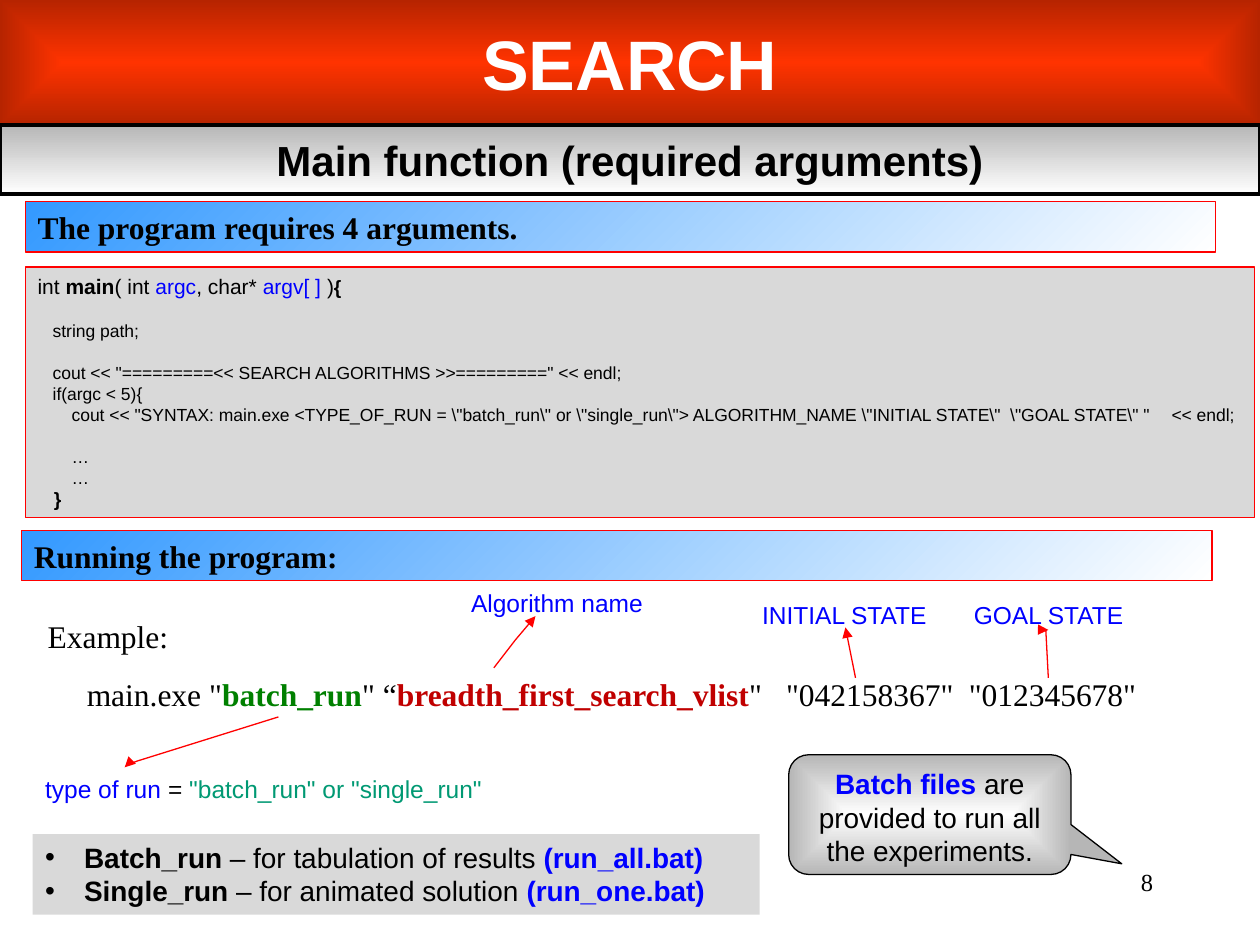
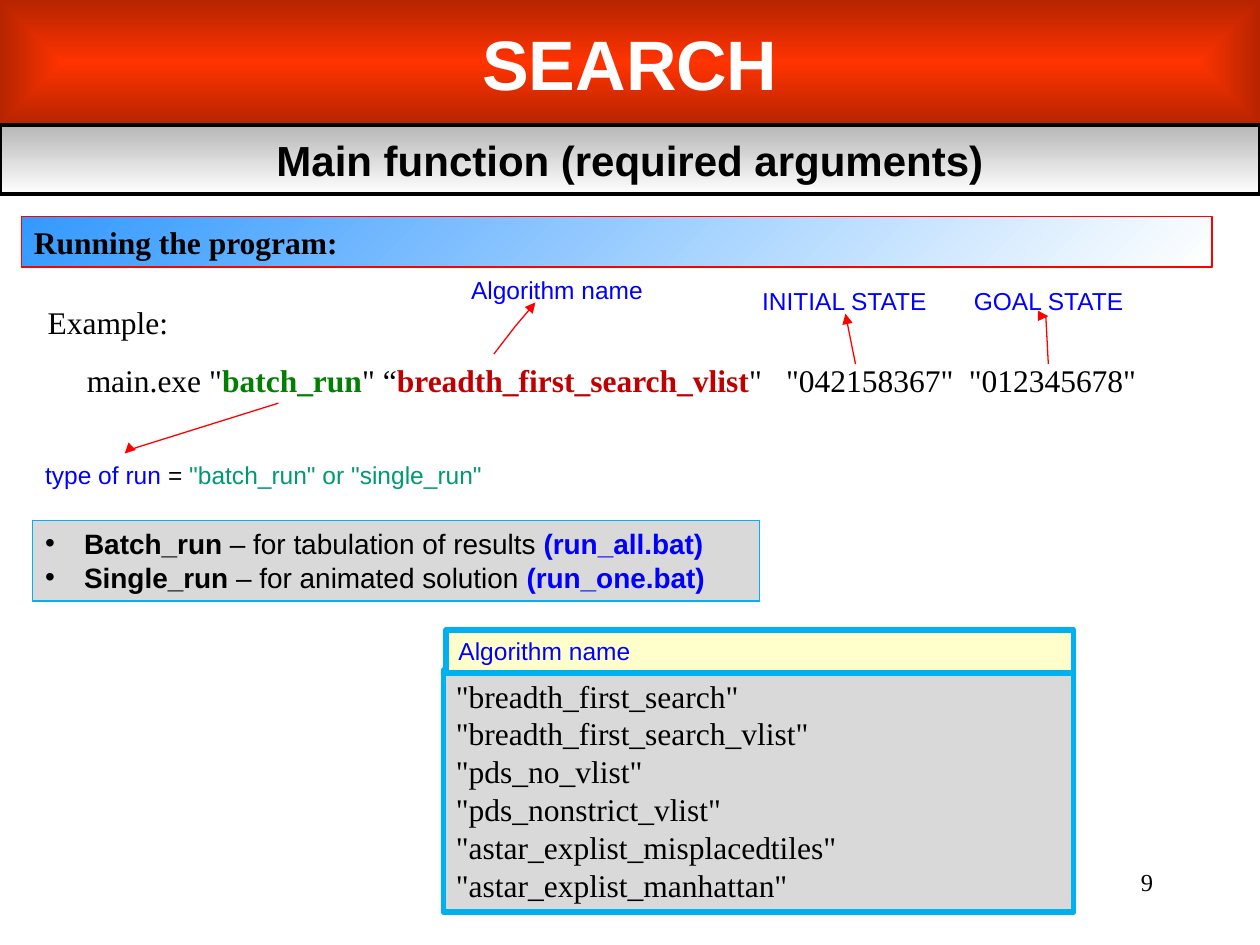
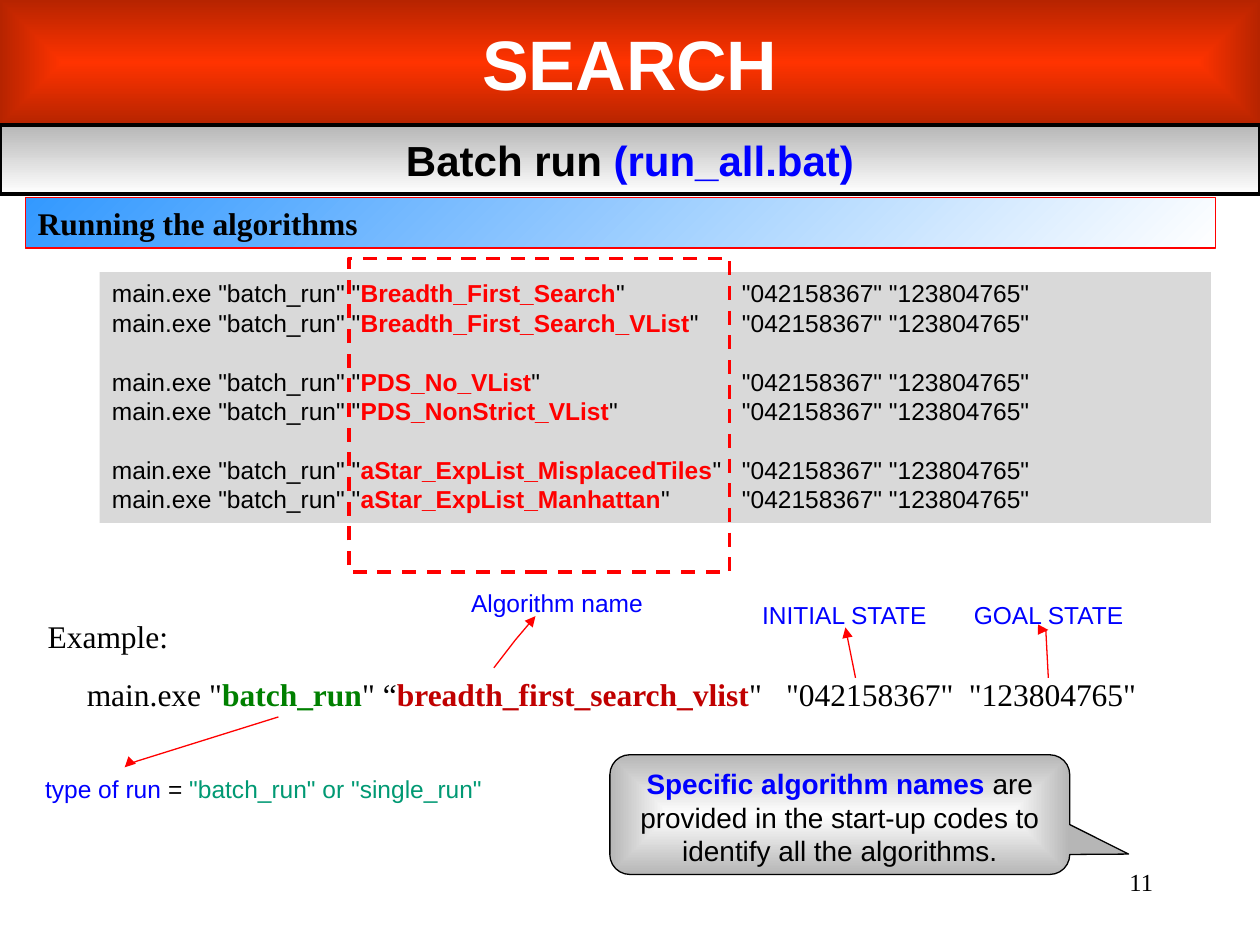
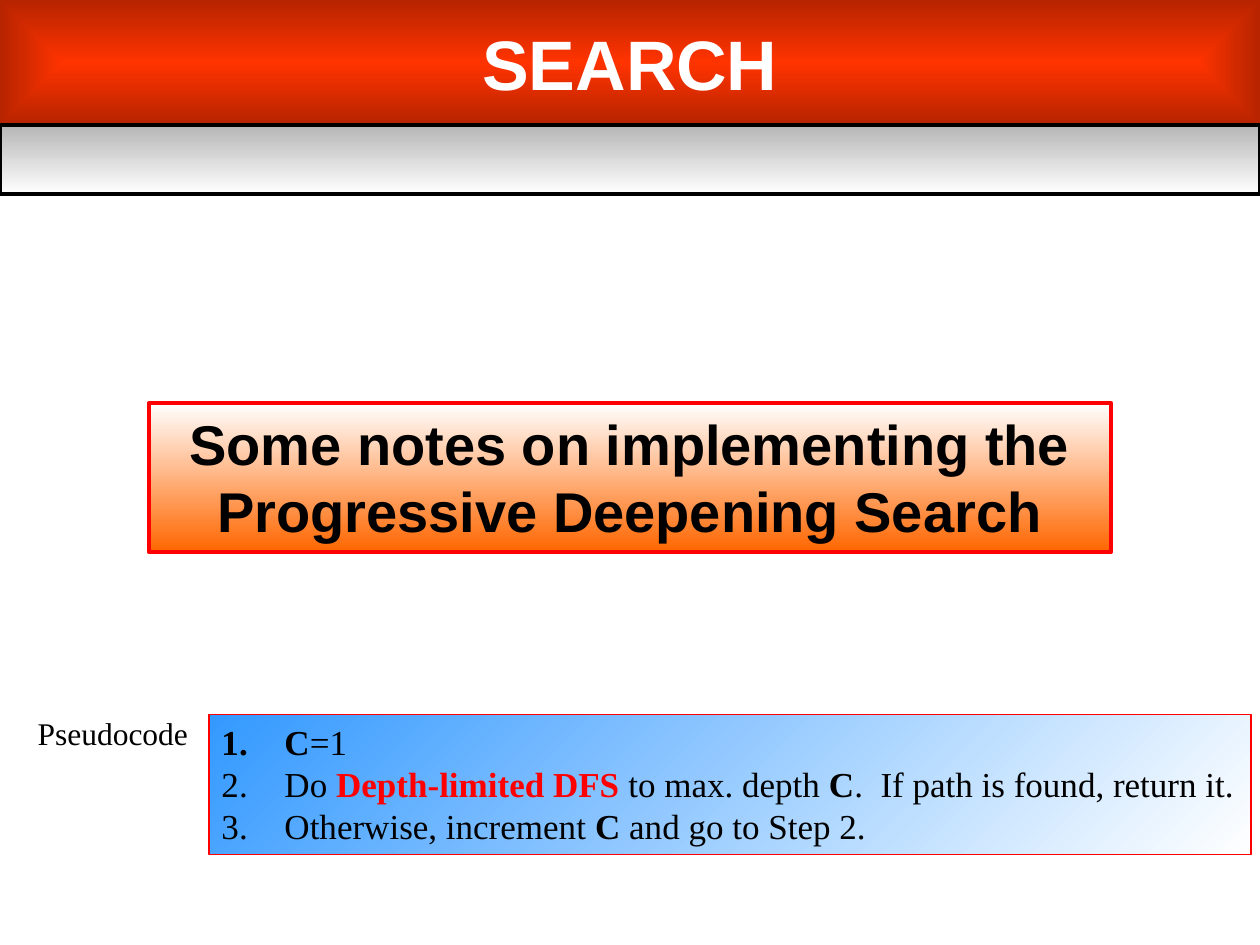
"""Build four slides on running the search program."""
from lxml import etree
from pptx import Presentation, util as u
from pptx.dml.color import RGBColor
from pptx.enum import dml, shapes, text
from pptx.oxml import parse_xml
from pptx.oxml.ns import nsdecls, qn

SANS, SERIF = "Arial", "Times New Roman"
BLACK, WHITE, RED, BLUE = "000000", "FFFFFF", "FF0000", "0000FF"
GREY, CYAN, CREAM, ORANGE = "D9D9D9", "00B0F0", "FFFFCC", "FF3300"
LEFT, CENTER, RIGHT = text.PP_ALIGN.LEFT, text.PP_ALIGN.CENTER, text.PP_ALIGN.RIGHT
SHADE = "46275"
RED_BAND = ((ORANGE, None), (ORANGE, SHADE)), "shape"
GREY_BAND = ((WHITE, SHADE), (WHITE, None)), 90
BLUE_BAND = (("3399FF", None), (WHITE, None)), 45
SUNSET = ((WHITE, None), ("FF6600", None)), 90
GLOW = ((WHITE, None), (WHITE, SHADE)), "rect"


def rgb(value):
    """Turn a hex string into a colour."""
    return RGBColor.from_string(value)


def gradient(stops, direction):
    """Return a two-stop gradient fill, linear by angle or along a path."""
    gs = ""
    for pos, (color, shade) in zip((0, 100000), stops):
        tone = f'<a:shade val="{shade}"/>' if shade else ""
        gs += f'<a:gs pos="{pos}"><a:srgbClr val="{color}">{tone}</a:srgbClr></a:gs>'
    if isinstance(direction, str):
        way = (f'<a:path path="{direction}"><a:fillToRect l="50000" t="50000" '
               'r="50000" b="50000"/></a:path>')
    else:
        way = f'<a:lin ang="{direction * 60000}" scaled="1"/>'
    return parse_xml(f'<a:gradFill {nsdecls("a")} rotWithShape="1">'
                     f'<a:gsLst>{gs}</a:gsLst>{way}</a:gradFill>')


class Deck:
    """Hold the presentation, its style and the current slide."""

    def __init__(self):
        """Start a 10 by 7.5 inch presentation."""
        self.prs = Presentation()
        self.prs.slide_width, self.prs.slide_height = u.Inches(10), u.Inches(7.5)

    def paint(self, sp, fill=None, line=None, width=0.75):
        """Set the fill and the outline of a shape."""
        if isinstance(fill, str):
            sp.fill.solid()
            sp.fill.fore_color.rgb = rgb(fill)
        else:
            sp.fill.background()
        if isinstance(fill, tuple):
            old = sp.element.spPr.find(qn("a:noFill"))
            sp.element.spPr.replace(old, gradient(*fill))
        if line:
            sp.line.color.rgb = rgb(line)
            sp.line.width = u.Pt(width)
        else:
            sp.line.fill.background()

    def put_text(self, sp, paras, size, font=SANS, align=LEFT, middle=False,
                 grow=True, wrap=True):
        """Fill a shape with paragraphs made of (text, colour, bold, size) runs."""
        tf = sp.text_frame
        tf.word_wrap = wrap
        tf.auto_size = text.MSO_AUTO_SIZE.SHAPE_TO_FIT_TEXT if grow else text.MSO_AUTO_SIZE.NONE
        tf.vertical_anchor = text.MSO_ANCHOR.MIDDLE if middle else text.MSO_ANCHOR.TOP
        for i, runs in enumerate(paras):
            p = tf.add_paragraph() if i else tf.paragraphs[0]
            p.alignment = align
            for words, color, bold, *own in runs:
                r = p.add_run()
                r.text = words
                r.font.name, r.font.bold = font, bold
                r.font.size = u.Pt(own[0] if own else size)
                r.font.color.rgb = rgb(color)
        return tf.paragraphs

    def indent(self, p, first, left=0.0, bullet=None):
        """Set first-line and left indents and an optional bullet or numbering."""
        pPr = p._p.get_or_add_pPr()
        pPr.set("marL", str(u.Inches(left)))
        pPr.set("indent", str(u.Inches(first)))
        if bullet == "number":
            etree.SubElement(pPr, qn("a:buAutoNum"), type="arabicPeriod")
        elif bullet:
            etree.SubElement(pPr, qn("a:buFont"), typeface=SANS)
            etree.SubElement(pPr, qn("a:buChar"), char=bullet)

    def tabs(self, p, *stops):
        """Give a paragraph left tab stops."""
        tabs = etree.SubElement(p._p.get_or_add_pPr(), qn("a:tabLst"))
        for stop in stops:
            etree.SubElement(tabs, qn("a:tab"), pos=str(u.Inches(stop)), algn="l")

    def box(self, x, y, w, h, fill=None, line=None, width=0.75,
            kind=shapes.MSO_SHAPE.RECTANGLE):
        """Add a preset shape without shadow."""
        sp = self.s.shapes.add_shape(kind, *map(u.Inches, (x, y, w, h)))
        sp.shadow.inherit = False
        self.paint(sp, fill, line, width)
        return sp

    def label(self, x, y, w, h, runs, size, font=SANS, **style):
        """Add a one-paragraph text box and return the paragraph."""
        sp = self.s.shapes.add_textbox(*map(u.Inches, (x, y, w, h)))
        return self.put_text(sp, [runs], size, font, **style)[0]

    def title(self, x, y, w, h, runs, size, fill, line, middle=True):
        """Place and format the title placeholder on top of the slide."""
        sp = self.s.shapes.title
        sp.left, sp.top, sp.width, sp.height = map(u.Inches, (x, y, w, h))
        self.paint(sp, fill, line, 2.25)
        self.put_text(sp, [runs], size, align=CENTER, middle=middle, grow=False)
        sp.element.getparent().append(sp.element)

    def slide(self, heading=None, number=None):
        """Add a slide with the course band, the heading band and a number."""
        self.s = self.prs.slides.add_slide(self.prs.slide_layouts[5])
        if number:
            self.label(7.17, 6.83, 2.08, 0.5, [(number, BLACK, False)], 14, SERIF,
                       align=RIGHT, grow=False)
        band = self.box(0, 0, 10, 0.99, RED_BAND)
        self.put_text(band, [[("SEARCH", WHITE, True)]], 40, align=CENTER, middle=True,
                      grow=False)
        if heading:
            self.title(0, 0.99, 10, 0.55, heading, 24, GREY_BAND, BLACK)
        else:
            self.box(0, 0.99, 10, 0.55, GREY_BAND, BLACK, 2.25)

    def bar(self, x, y, words):
        """Add a blue section bar."""
        sp = self.box(x, y, 9.45, 0.4, BLUE_BAND, RED)
        self.indent(self.put_text(sp, [[(words, BLACK, True)]], 18, SERIF)[0], -0.26, 0.26)

    def arrow(self, points, dy):
        """Draw a red arrow through points, moved down by dy."""
        pts = [(u.Inches(x), u.Inches(y + dy)) for x, y in points]
        outline = self.s.shapes.build_freeform(*pts[0], scale=1.0)
        outline.add_line_segments(pts[1:], close=False)
        sp = outline.convert_to_shape()
        sp.shadow.inherit = False
        self.paint(sp, None, RED)
        etree.SubElement(sp.element.spPr.find(qn("a:ln")), qn("a:tailEnd"), type="triangle")

    def callout(self, x, w, tip, strong, rest):
        """Add a rounded callout with a bold blue opening."""
        sp = self.box(x, 5.99, w, 0.95, GLOW, BLACK,
                      kind=shapes.MSO_SHAPE.ROUNDED_RECTANGULAR_CALLOUT)
        for i, value in enumerate((*tip, 0.167)):
            sp.adjustments[i] = value
        self.put_text(sp, [[(strong, BLUE, True), (rest, BLACK, False)]], 16,
                      align=CENTER, grow=False)

    def example(self, goal, dy=0.0):
        """Add the annotated command line, moved down by dy."""
        p = self.label(0.59, 5.31 + dy, 9.21, 0.4, [
            ('main.exe "', BLACK, False), ("batch_run", "008000", True),
            ('" “', BLACK, False), ("breadth_first_search_vlist", "C00000", True),
            (f'"\t"042158367"\t"{goal}"', BLACK, False)], 18, SERIF)
        self.tabs(p, 5.55, 7)
        self.label(0.28, 4.85 + dy, 1.23, 0.4, [("Example: ", BLACK, False)], 18, SERIF,
                   wrap=False)
        self.label(0.26, 6.09 + dy, 3.67, 0.34, [
            ("type of run ", BLUE, False), ("= ", BLACK, False),
            ('"batch_run" or "single_run"', "009973", False)], 14)
        p = self.label(5.95, 4.71 + dy, 3.15, 0.34,
                       [("INITIAL STATE\tGOAL STATE", BLUE, False)], 14)
        self.tabs(p, 1.68)
        self.label(3.64, 4.62 + dy, 1.65, 0.34, [("Algorithm name", BLUE, False)], 14)
        self.arrow([(3.92, 5.3), (4.09, 5.08), (4.25, 4.89)], dy)
        self.arrow([(2.21, 5.69), (1.09, 6.04), (0.96, 6.09), (0.99, 6.09)], dy)
        self.arrow([(6.79, 5.38), (6.71, 4.98)], dy)
        self.arrow([(8.32, 5.38), (8.3, 5), (8.3, 4.98), (8.31, 5.02), (8.32, 5)], dy)

    def modes(self, y, line=None):
        """Add the grey list of the two run modes."""
        sp = self.box(0.26, y, 5.77, 0.64, GREY, line)
        rows = (("Batch_run", "tabulation of results", "run_all"),
                ("Single_run", "animated solution", "run_one"))
        paras = [[(name, BLACK, True), (f" – for {use} ", BLACK, False),
                  (f"({file}.bat)", BLUE, True)] for name, use, file in rows]
        for p in self.put_text(sp, paras, 16):
            self.indent(p, -0.31, 0.31, "•")

    def code(self):
        """Add the listing of the main function."""
        signature = [("int ", BLACK, False), ("main", BLACK, True), ("( int ", BLACK, False),
                     ("argc", BLUE, False), (", char* ", BLACK, False),
                     ("argv[ ] ", BLUE, False), (")", BLACK, False), ("{", BLACK, True, 11)]
        lines = (
            (0.12, 12, "string path;"),
            (0.12, 12, 'cout << "=========<< SEARCH ALGORITHMS >>=========" << endl;'),
            (0.12, 0, "if(argc < 5){"),
            (0.27, 0, r'cout << "SYNTAX: main.exe <TYPE_OF_RUN = \"batch_run\" or \"single_run\">'
                      r' ALGORITHM_NAME \"INITIAL STATE\"  \"GOAL STATE\" "' + " \t<< endl;"),
            (0.27, 12, "…"),
            (0.27, 0, "…"))
        paras = [[(*run, 12)[:4] for run in signature]]
        paras += [[(words, BLACK, False)] for _, _, words in lines]
        paras.append([("}", BLACK, True, 11)])
        ps = self.put_text(self.box(0.2, 2.12, 9.76, 1.99, GREY, RED), paras, 10)
        for p, (first, gap, _) in zip(ps[1:], lines):
            self.indent(p, first)
            p.space_before = u.Pt(gap)
        self.indent(ps[-1], 0.13)

    def commands(self):
        """Add the batch commands, paired by algorithm family."""
        names = ("Breadth_First_Search", "Breadth_First_Search_VList", "PDS_No_VList",
                 "PDS_NonStrict_VList", "aStar_ExpList_MisplacedTiles",
                 "aStar_ExpList_Manhattan")
        paras = [[('main.exe "batch_run" "', BLACK, False), (name, RED, True),
                  ('"\t"042158367" "123804765"', BLACK, False)] for name in names]
        ps = self.put_text(self.box(0.79, 2.16, 8.82, 1.99, GREY), paras, 14)
        for i, p in enumerate(ps):
            if i in (2, 4):
                p.space_before = u.Pt(16.8)
            self.tabs(p, 5)


def main():
    """Build the slides and save them."""
    d = Deck()
    arguments = [("Main function (required arguments)", BLACK, True)]

    d.slide(arguments, "8")
    d.code()
    d.callout(6.26, 2.24, (0.68, 0.411), "Batch files ",
              "are provided to run all the experiments.")
    d.bar(0.2, 1.6, "The program requires 4 arguments.")
    d.example("012345678")
    d.modes(6.62)
    d.bar(0.17, 4.21, "Running the program:")

    d.slide(arguments, "9")
    names = ("breadth_first_search", "breadth_first_search_vlist", "pds_no_vlist",
             "pds_nonstrict_vlist", "astar_explist_misplacedtiles", "astar_explist_manhattan")
    sp = d.box(3.52, 5.32, 5, 1.92, GREY, CYAN, 3.25)
    d.put_text(sp, [[(f'"{name}"', BLACK, False)] for name in names], 18, SERIF)
    d.example("012345678", -2.49)
    d.modes(4.13, CYAN)
    d.bar(0.17, 1.72, "Running the program:")
    sp = d.box(3.54, 5, 4.98, 0.34, CREAM, CYAN, 3.25)
    d.put_text(sp, [[("Algorithm name", BLUE, False)]], 14)

    d.slide([("Batch run ", BLACK, True), ("(run_all.bat)", BLUE, True)], "11")
    d.callout(4.84, 3.65, (0.628, 0.33), "Specific algorithm names ",
              "are provided in the start-up codes to identify all the algorithms.")
    d.bar(0.2, 1.57, "Running the algorithms")
    d.example("123804765")
    d.commands()
    frame = d.box(2.77, 2.05, 3.02, 2.49, None, RED, 2)
    frame.line.dash_style = dml.MSO_LINE.DASH

    d.slide()
    d.title(1.18, 3.2, 7.64, 1.18,
            [("Some notes on implementing the Progressive Deepening Search", BLACK, True)],
            32, SUNSET, RED, middle=False)
    steps = [
        [("C", BLACK, True), ("=1", BLACK, False)],
        [("Do ", BLACK, False), ("Depth-limited DFS", RED, True),
         (" to max. depth ", BLACK, False), ("C", BLACK, True),
         (".  If path is found, return it.", BLACK, False)],
        [("Otherwise, increment ", BLACK, False), ("C", BLACK, True),
         (" and go to Step 2.", BLACK, False)]]
    for p in d.put_text(d.box(1.66, 5.67, 8.27, 1.11, BLUE_BAND, RED), steps, 20, SERIF):
        d.indent(p, -0.5, 0.5, "number")
    d.label(0.2, 5.62, 1.41, 0.4, [("Pseudocode", BLACK, False)], 18, SERIF, wrap=False)

    d.prs.save("out.pptx")


main()
